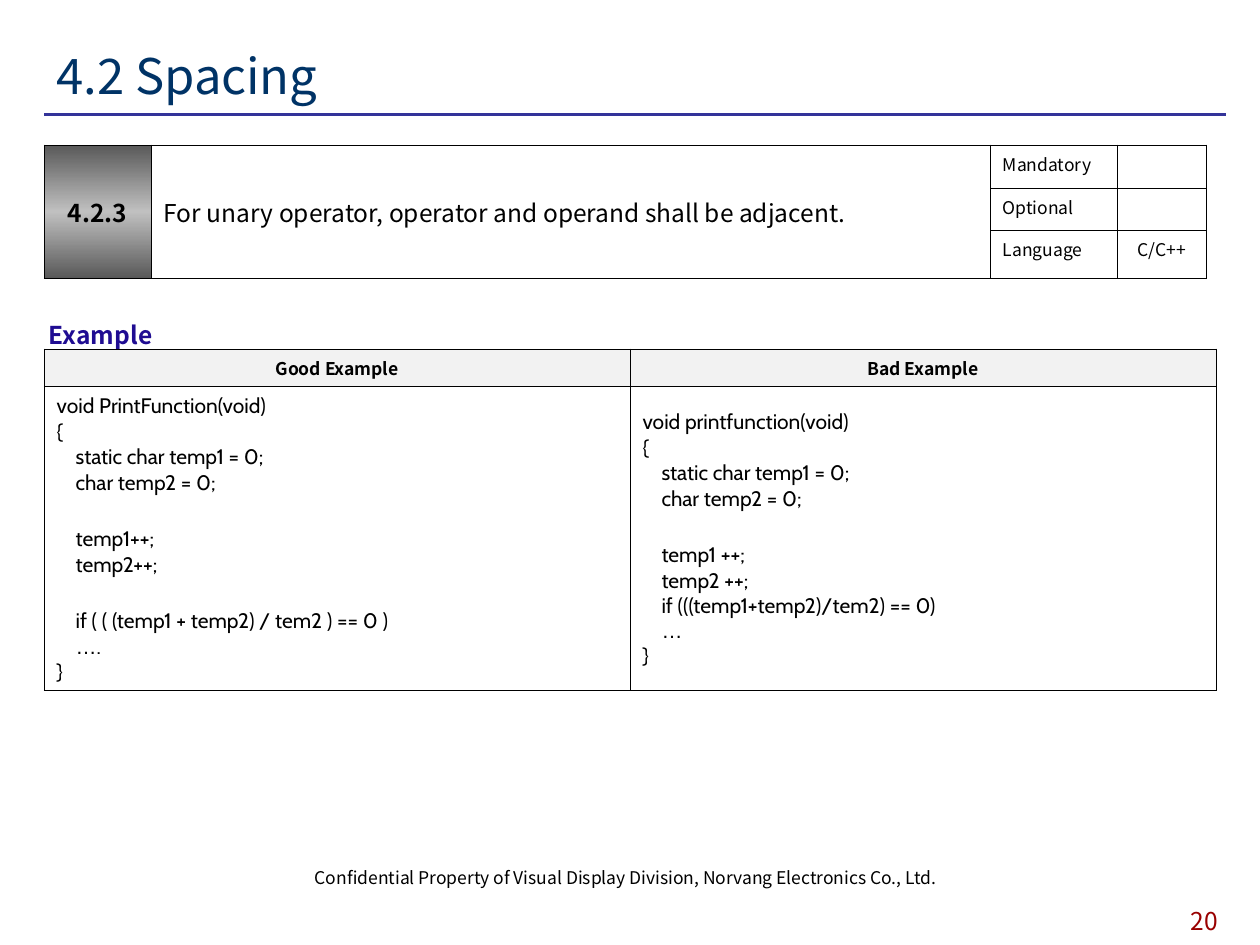
from pptx import Presentation
from pptx.dml.color import RGBColor
from pptx.enum.shapes import MSO_CONNECTOR
from pptx.enum.text import MSO_ANCHOR as Anchor, PP_ALIGN as Align
from pptx.oxml import parse_xml
from pptx.oxml.ns import nsdecls
from pptx.util import Inches, Pt

SANS, CODE, ELLIPSIS = "Noto Sans CJK KR", "Cabin", "Arial"
BLACK = "000000"
LEFT = 0.35

TITLE = "4.2 Spacing"
FOOTER = "Confidential Property of Visual Display Division, Norvang Electronics Co., Ltd."
PAGE = "20"
RULE_NUMBER = "4.2.3"
RULE = "For unary operator, operator and operand shall be adjacent."
PROPERTIES = [("Mandatory", ""), ("Optional", ""), ("Language", "C/C++")]
RULE_COLUMNS = [0.85, 6.66, 1.01, 0.7]
RULE_ROWS = [0.34, 0.34, 0.38]

EXAMPLE_HEADING = "Example"
EXAMPLES = {
    "Good Example": [
        (0, 0, "void PrintFunction(void)"),
        (0, 0, "{"),
        (1, 0, "static char temp1 = 0;"),
        (1, 0, "char temp2 = 0;"),
        (1, 1, "temp1++;"),
        (1, 0, "temp2++;"),
        (1, 1, "if ( ( (temp1 + temp2) / tem2 ) == 0 )"),
        (1, 0, "…."),
        (0, 0, "}"),
    ],
    "Bad Example": [
        (0, 0, "void printfunction(void)"),
        (0, 0, "{"),
        (1, 0, "static char temp1 = 0;"),
        (1, 0, "char temp2 = 0;"),
        (1, 1, "temp1 ++;"),
        (1, 0, "temp2 ++;"),
        (1, 0, "if (((temp1+temp2)/tem2) == 0)"),
        (1, 0, "…"),
        (0, 0, "}"),
    ],
}
EXAMPLE_COLUMNS = [4.65, 4.65]
EXAMPLE_ROWS = [0.3, 2.41]
INDENT, BLANK_LINE = 0.15, 17.5


def rgb(value):
    return RGBColor.from_string(value)


def style(run, size, color=BLACK, bold=False, name=SANS):
    run.font.size, run.font.bold, run.font.name = Pt(size), bold, name
    run.font.color.rgb = rgb(color)


def write(frame, text, size, color=BLACK, bold=False, align=Align.LEFT, before=0):
    frame.text = text
    paragraph = frame.paragraphs[0]
    paragraph.alignment, paragraph.space_before = align, Pt(before)
    for run in paragraph.runs:
        style(run, size, color, bold)


def add_text(slide, box, text, size, color=BLACK, bold=False, align=Align.LEFT,
             anchor=Anchor.TOP):
    frame = slide.shapes.add_textbox(*map(Inches, box)).text_frame
    frame.word_wrap, frame.vertical_anchor = True, anchor
    write(frame, text, size, color, bold, align)


def add_grid(slide, top, columns, rows, border):
    table = slide.shapes.add_table(
        len(rows), len(columns), Inches(LEFT), Inches(top),
        Inches(sum(columns)), Inches(sum(rows))).table
    table.first_row = table.horz_banding = False
    for column, width in zip(table.columns, columns):
        column.width = Inches(width)
    for row, height in zip(table.rows, rows):
        row.height = Inches(height)
    for cell in table.iter_cells():
        cell.fill.background()
        cell.text_frame.paragraphs[0]._p.get_or_add_endParaRPr().set("sz", "1000")
        properties = cell._tc.get_or_add_tcPr()
        for place, side in enumerate(["lnL", "lnR", "lnT", "lnB"]):
            properties.insert(place, parse_xml(
                f'<a:{side} {nsdecls("a")} w="{Pt(border)}"><a:solidFill>'
                f'<a:srgbClr val="{BLACK}"/></a:solidFill></a:{side}>'))
    return table


def fill_gradient(cell, stops, angle):
    properties = cell._tc.tcPr
    properties.remove(properties[-1])
    colors = "".join(f'<a:gs pos="{position * 1000}"><a:srgbClr val="{color}"/></a:gs>'
                     for position, color in stops)
    properties.append(parse_xml(
        f'<a:gradFill {nsdecls("a")} rotWithShape="1"><a:gsLst>{colors}</a:gsLst>'
        f'<a:lin ang="{angle * 60000}" scaled="0"/></a:gradFill>'))


def write_code(cell, lines):
    cell.vertical_anchor = Anchor.MIDDLE
    frame = cell.text_frame
    frame.text = "\n".join(text for _, _, text in lines)
    for paragraph, (level, blanks, text) in zip(frame.paragraphs, lines):
        paragraph.space_before = Pt(blanks * BLANK_LINE)
        properties = paragraph._p.get_or_add_pPr()
        properties.set("marL", str(Inches(level * INDENT)))
        properties.set("indent", "0")
        if text.startswith("…"):
            paragraph.runs[0].text = "…"
            if text[1:]:
                paragraph.add_run().text = text[1:]
        for run in paragraph.runs:
            style(run, 12, name=ELLIPSIS if run.text == "…" else CODE)


def add_rule_table(slide):
    table = add_grid(slide, 1.15, RULE_COLUMNS, RULE_ROWS, 0.23)
    number, rule = table.cell(0, 0), table.cell(0, 1)
    for column, cell in enumerate([number, rule]):
        cell.merge(table.cell(len(RULE_ROWS) - 1, column))
        cell.vertical_anchor = Anchor.MIDDLE
    fill_gradient(number, [(0, "595959"), (50, "C0C0C0"), (100, "595959")], 90)
    write(number.text_frame, RULE_NUMBER, 14, bold=True, align=Align.CENTER, before=3.5)
    write(rule.text_frame, RULE, 14, before=3.5)
    for row, (label, value) in enumerate(PROPERTIES):
        write(table.cell(row, 2).text_frame, label, 10, before=2.5)
        if value:
            write(table.cell(row, 3).text_frame, value, 10, align=Align.CENTER, before=2.5)


def add_example_table(slide):
    table = add_grid(slide, 2.77, EXAMPLE_COLUMNS, EXAMPLE_ROWS, 0.45)
    for column, (heading, lines) in enumerate(EXAMPLES.items()):
        header = table.cell(0, column)
        header.fill.solid()
        header.fill.fore_color.rgb = rgb("F2F2F2")
        write(header.text_frame, heading, 10, bold=True, align=Align.CENTER)
        write_code(table.cell(1, column), lines)


def main():
    deck = Presentation()
    deck.slide_width, deck.slide_height = Inches(10), Inches(7.5)
    slide = deck.slides.add_slide(deck.slide_layouts[6])

    title_rule = slide.shapes.add_connector(
        MSO_CONNECTOR.STRAIGHT, Inches(LEFT), Inches(0.91), Inches(9.73), Inches(0.91))
    title_rule.line.color.rgb, title_rule.line.width = rgb("333399"), Pt(2)
    title_rule._element.spPr.append(parse_xml(f'<a:effectLst {nsdecls("a")}/>'))

    add_text(slide, (2.25, 6.83, 5.43, 0.5), FOOTER, 10, align=Align.CENTER)
    add_text(slide, (9.12, 7.14, 0.88, 0.36), PAGE, 14, "990000", align=Align.CENTER)
    add_text(slide, (LEFT, 0.28, 9.37, 0.63), TITLE, 28, "003366", anchor=Anchor.MIDDLE)
    add_rule_table(slide)
    add_text(slide, (0.29, 2.49, 1.2, 0.2), EXAMPLE_HEADING, 14, "1F0C92", bold=True)
    add_example_table(slide)
    deck.save("out.pptx")


if __name__ == "__main__":
    main()
